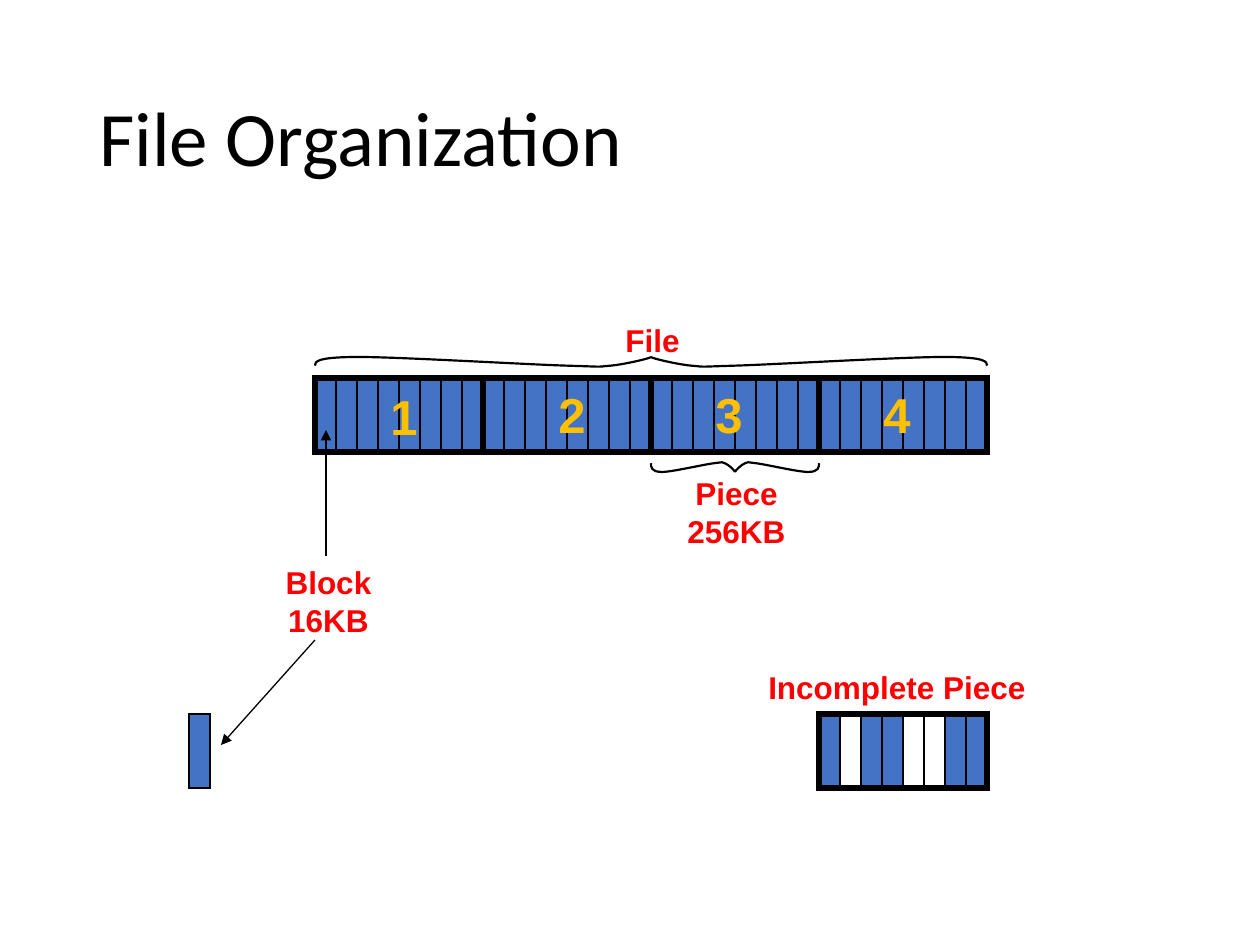
from typing import NamedTuple

from lxml.etree import SubElement
from pptx import Presentation
from pptx.dml.color import RGBColor
from pptx.enum.shapes import MSO_CONNECTOR, MSO_SHAPE
from pptx.enum.text import MSO_ANCHOR, MSO_AUTO_SIZE, PP_ALIGN
from pptx.oxml.ns import qn
from pptx.util import Emu, Pt

SCALE = 914400 / 126
BLUE = RGBColor(0x44, 0x72, 0xC4)
BLACK = RGBColor(0, 0, 0)
RED = RGBColor(0xFF, 0, 0)
GOLD = RGBColor(0xFF, 0xC0, 0)

BLOCK_W, BLOCK_H, BLOCKS = 21, 74, 8
PIECE_W = BLOCK_W * BLOCKS
FILE_X, FILE_Y, PIECES = 315, 378, 4
LOW_Y = 714

# Half a brace in a unit square: a start, then three points for each curve.
HALF = [
    (0, 0.13),
    (0, 0.5), (0, 1), (0.13, 1),
    (0.25, 1), (0.63, 0.25), (0.75, 0.13),
    (0.88, 0), (0.83, 0), (0.88, 0.13),
    (0.92, 0.25), (1, 0.88), (1, 1),
]


class Label(NamedTuple):
    text: str
    x: int
    y: int
    w: int
    h: int
    size: int = 18
    color: RGBColor = RED
    align: PP_ALIGN = PP_ALIGN.CENTER


class Brace(NamedTuple):
    x: int
    y: int
    w: int
    h: int  # from the flat edge to the tip, negative when the tip is on top


class Arrow(NamedTuple):
    x1: int
    y1: int
    x2: int
    y2: int


LABELS = [
    Label("Piece\v256KB", 674, 468, 125, 88),
    Label("Block\v16KB", 273, 557, 111, 88),
    Label("File", 613, 315, 80, 50, align=PP_ALIGN.LEFT),
    Label("Incomplete Piece", 752, 662, 290, 50),
] + [
    Label(text, x, y, 53, 72, 28, GOLD, PP_ALIGN.LEFT)
    for text, x, y in [("1", 378, 380), ("2", 546, 378), ("3", 703, 378), ("4", 871, 378)]
]
BRACES = [
    Brace(FILE_X + 2 * PIECE_W, 462, PIECE_W, 10),
    Brace(FILE_X, 367, PIECES * PIECE_W, -10),
]
ARROWS = [Arrow(326, 556, 326, 430), Arrow(315, 640, 221, 745)]


def px(n: float) -> Emu:
    return Emu(round(n * SCALE))


def add_text(shapes, text: str, x: int, y: int, w: int, h: int, *, size: int,
             color: RGBColor, font: str = "Arial", bold: bool = True,
             align: PP_ALIGN = PP_ALIGN.LEFT, wrap: bool = False,
             anchor: MSO_ANCHOR = MSO_ANCHOR.TOP, space: float = 1.0) -> None:
    frame = shapes.add_textbox(px(x), px(y), px(w), px(h)).text_frame
    frame.word_wrap = wrap
    frame.auto_size = MSO_AUTO_SIZE.NONE if wrap else MSO_AUTO_SIZE.SHAPE_TO_FIT_TEXT
    frame.vertical_anchor = anchor
    para = frame.paragraphs[0]
    para.text = text
    para.alignment = align
    para.line_spacing = space
    for run in para.runs:
        run.font.name = font
        run.font.size = Pt(size)
        run.font.bold = bold
        run.font.color.rgb = color


def style(shape, width: float, fill: RGBColor | None = None) -> None:
    shape.shadow.inherit = False
    shape.line.color.rgb = BLACK
    shape.line.width = Pt(width)
    if fill is None:
        shape.fill.background()
    else:
        shape.fill.solid()
        shape.fill.fore_color.rgb = fill


def add_box(shapes, x: int, y: int, w: int, line: float, fill: RGBColor | None = None) -> None:
    box = shapes.add_shape(MSO_SHAPE.RECTANGLE, px(x), px(y), px(w), px(BLOCK_H))
    style(box, line, fill)
    SubElement(box.element.spPr.find(qn("a:ln")), qn("a:miter"), lim="800000")


def add_piece(shapes, x: int, y: int, gaps: tuple[int, ...] = ()) -> None:
    """Draw a row of blocks in a thick frame; the blocks in gaps stay empty."""
    for i in range(BLOCKS):
        add_box(shapes, x + i * BLOCK_W, y, BLOCK_W, 0.75, None if i in gaps else BLUE)
    add_box(shapes, x, y, PIECE_W, 3)


def bend(shape) -> None:
    """Turn each three line segments of a freeform into one cubic curve."""
    lines = list(shape.element.iter(qn("a:lnTo")))
    track = lines[0].getparent()
    for i in range(0, len(lines), 3):
        curve = SubElement(track, qn("a:cubicBezTo"))
        for line in lines[i:i + 3]:
            curve.append(line[0])
            track.remove(line)


def add_brace(shapes, brace: Brace) -> None:
    group = shapes.add_group_shape().shapes
    half = brace.w / 2
    for x, w in [(brace.x, half), (brace.x + brace.w, -half)]:
        dots = [(px(x + u * w), px(brace.y + v * brace.h)) for u, v in HALF]
        pen = group.build_freeform(*dots[0])
        pen.add_line_segments(dots[1:], close=False)
        shape = pen.convert_to_shape()
        bend(shape)
        style(shape, 1.25)


def add_arrow(shapes, arrow: Arrow) -> None:
    line = shapes.add_connector(MSO_CONNECTOR.STRAIGHT, *map(px, arrow))
    line.line.color.rgb = BLACK
    line.line.width = Pt(0.75)
    props = line.element.spPr
    SubElement(props.find(qn("a:ln")), qn("a:tailEnd"), type="triangle")
    SubElement(props, qn("a:effectLst"))


def main() -> None:
    deck = Presentation()
    deck.slide_width, deck.slide_height = px(1260), px(945)
    shapes = deck.slides.add_slide(deck.slide_layouts[6]).shapes

    add_text(shapes, "File Organization", 87, 50, 1086, 183, size=44, color=BLACK,
             font="Calibri", bold=False, wrap=True, anchor=MSO_ANCHOR.MIDDLE, space=0.9)
    add_box(shapes, 189, LOW_Y, BLOCK_W, 0.75, BLUE)
    whole = shapes.add_group_shape().shapes
    for i in range(PIECES):
        add_piece(whole, FILE_X + i * PIECE_W, FILE_Y)
    part = shapes.add_group_shape().shapes
    add_piece(part, FILE_X + (PIECES - 1) * PIECE_W, LOW_Y, gaps=(1, 4, 5))
    for brace in BRACES:
        add_brace(shapes, brace)
    for arrow in ARROWS:
        add_arrow(shapes, arrow)
    for tag in LABELS:
        add_text(shapes, tag.text, tag.x, tag.y, tag.w, tag.h,
                 size=tag.size, color=tag.color, align=tag.align)
    deck.save("out.pptx")


if __name__ == "__main__":
    main()
